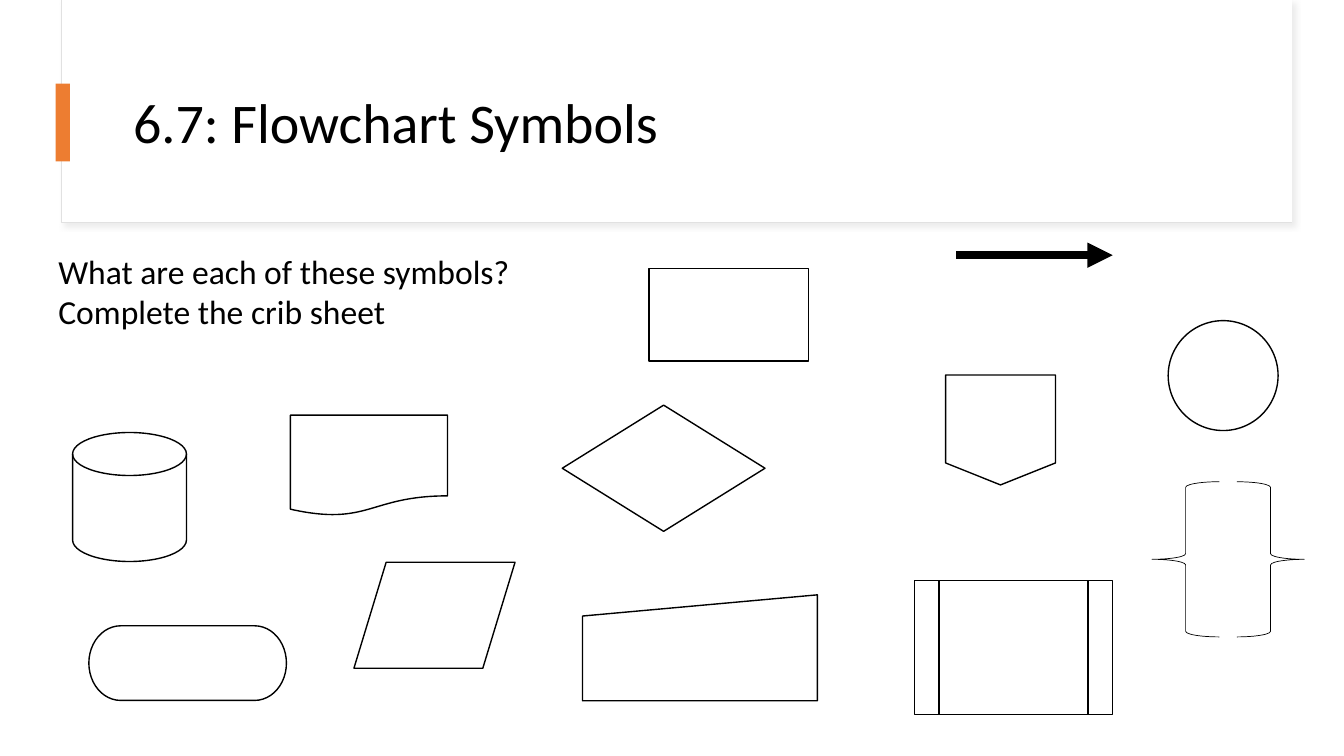
from lxml import etree
from pptx import Presentation, util as u
from pptx.dml.color import RGBColor
from pptx.enum import shapes, text
from pptx.oxml.ns import qn

COLOURS = {"paper": "FFFFFF", "ink": "000000", "accent": "ED7D31",
           "frame": "E1E1E1", "shadow": "D9D9D9"}
S = shapes.MSO_SHAPE


def rgb(name):
    return RGBColor.from_string(COLOURS[name])


def add_symbol(kind, box, fill="paper", line="ink", width=1):
    sp = slide.shapes.add_shape(kind, *map(u.Cm, box))
    sp.shadow.inherit = False
    if fill:
        sp.fill.solid()
        sp.fill.fore_color.rgb = rgb(fill)
    else:
        sp.fill.background()
    if line:
        sp.line.color.rgb = rgb(line)
        sp.line.width = u.Pt(width)
    else:
        sp.line.fill.background()
    return sp


prs = Presentation()
prs.slide_width, prs.slide_height = u.Cm(33.87), u.Cm(19.05)
slide = prs.slides.add_slide(prs.slide_layouts[5])

# Title frame with a soft shadow
frame = add_symbol(S.RECTANGLE, (1.55, 0, 31.01, 5.61), line="frame", width=0.75)
effects = frame._element.spPr.find(qn("a:effectLst"))
shadow = etree.SubElement(effects, qn("a:outerShdw"), blurRad=str(u.Pt(4)),
                          dist=str(u.Pt(3)), dir=str(45 * 60000))
tint = etree.SubElement(shadow, qn("a:srgbClr"), val=COLOURS["shadow"])
etree.SubElement(tint, qn("a:alpha"), val="50000")
add_symbol(S.RECTANGLE, (1.57, 0, 30.99, 5.59), line=None)

# Title, raised above the frame, and its accent bar
title = slide.shapes.title
slide.shapes._spTree.append(title._element)
title.left, title.top, title.width, title.height = map(u.Cm, (3.1, 1.52, 28.24, 3.28))
title.text_frame.text = "6.7: Flowchart Symbols"
title.text_frame.vertical_anchor = text.MSO_ANCHOR.MIDDLE
add_symbol(S.RECTANGLE, (1.4, 2.11, 0.36, 1.96), fill="accent", line=None)

# Flowchart symbols: left, top, width, height
symbols = [
    (S.FLOWCHART_PROCESS, (16.36, 6.76, 4.01, 2.34)),
    (S.FLOWCHART_TERMINATOR, (2.24, 15.77, 4.98, 1.88)),
    (S.FLOWCHART_DECISION, (14.17, 10.21, 5.11, 3.18)),
    (S.FLOWCHART_CONNECTOR, (29.44, 8.08, 2.77, 2.77)),
    (S.FLOWCHART_OFFPAGE_CONNECTOR, (23.83, 9.45, 2.77, 2.77)),
    (S.FLOWCHART_PREDEFINED_PROCESS, (23.04, 14.63, 5, 3.38)),
    (S.FLOWCHART_DATA, (8.92, 14.17, 4.06, 2.67)),
    (S.FLOWCHART_MANUAL_INPUT, (14.68, 14.99, 5.92, 2.67)),
    (S.FLOWCHART_DOCUMENT, (7.32, 10.46, 3.96, 2.54)),
    (S.FLOWCHART_MAGNETIC_DISK, (1.83, 10.9, 2.87, 3.25)),
]
for kind, box in symbols:
    add_symbol(kind, box)

# Annotation braces
for kind, left in ((S.LEFT_BRACE, 29.03), (S.RIGHT_BRACE, 31.17)):
    add_symbol(kind, (left, 12.14, 1.7, 3.91), fill=None, width=0.5)

# Flow arrow
arrow = slide.shapes.add_connector(shapes.MSO_CONNECTOR.STRAIGHT,
                                   *map(u.Cm, (24.1, 6.43, 28.04, 6.43)))
arrow.line.color.rgb = rgb("ink")
arrow.line.width = u.Pt(6)
etree.SubElement(arrow.line._get_or_add_ln(), qn("a:tailEnd"), type="triangle")
etree.SubElement(arrow._element.spPr, qn("a:effectLst"))

# Question
question = slide.shapes.add_textbox(*map(u.Cm, (1.22, 6.2, 11.99, 2.31)))
tf = question.text_frame
tf.text = "What are each of these symbols?\nComplete the crib sheet"
tf.word_wrap = False
tf.auto_size = text.MSO_AUTO_SIZE.SHAPE_TO_FIT_TEXT

# Text formats
formats = [
    (title, {"alignment": text.PP_ALIGN.LEFT, "line_spacing": 0.9},
     {"name": "Calibri", "size": u.Pt(40)}),
    (question, {"alignment": text.PP_ALIGN.LEFT},
     {"name": "Calibri", "size": u.Pt(24)}),
]
for sp, paragraph_format, font_format in formats:
    for p in sp.text_frame.paragraphs:
        for key, value in paragraph_format.items():
            setattr(p, key, value)
        for r in p.runs:
            for key, value in font_format.items():
                setattr(r.font, key, value)
            r.font.color.rgb = rgb("ink")

prs.save("out.pptx")
